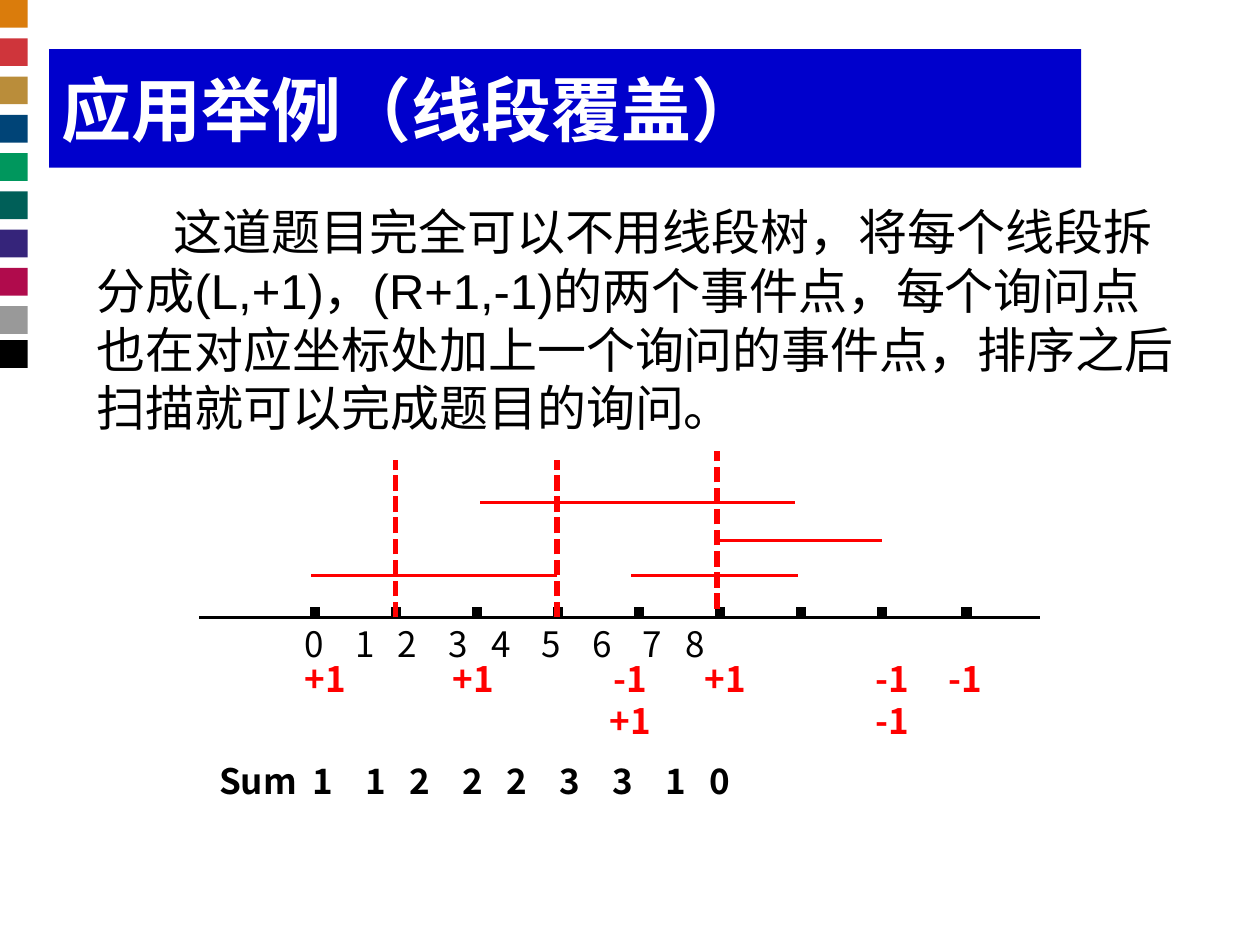
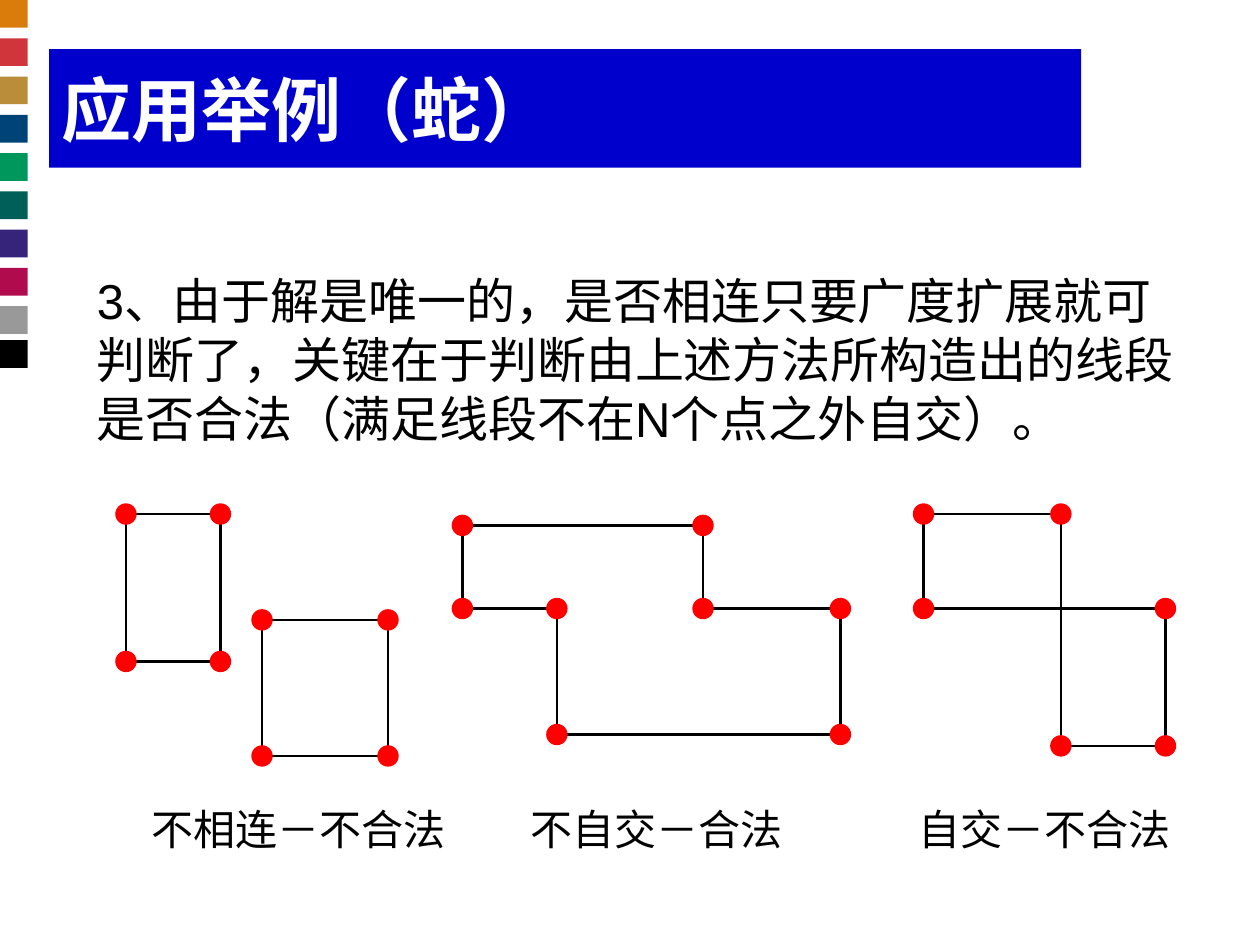
from dataclasses import dataclass
from itertools import accumulate

from lxml.etree import SubElement
from pptx import Presentation
from pptx.dml.color import RGBColor
from pptx.enum.dml import MSO_LINE_DASH_STYLE as Dash
from pptx.enum.shapes import MSO_CONNECTOR as Conn, MSO_SHAPE as Geo
from pptx.enum.text import MSO_ANCHOR as Anchor, PP_ALIGN as Align
from pptx.oxml.ns import qn
from pptx.util import Inches, Pt

BLACK = RGBColor(0x00, 0x00, 0x00)
WHITE = RGBColor(0xFF, 0xFF, 0xFF)
RED = RGBColor(0xFF, 0x00, 0x00)
BLUE = RGBColor(0x00, 0x00, 0xCC)
STRIP_COLOURS = [RGBColor.from_string(c) for c in (
    "DA7C0C", "CF353B", "BA8D3A", "004477", "00975D",
    "005F58", "35247A", "B00B4C", "999999", "000000")]
LATIN = "Arial"
CJK = "Noto Sans CJK SC"
DOT = 0.17


@dataclass(frozen=True)
class Line:
    x1: float
    y1: float
    x2: float
    y2: float
    colour: RGBColor = BLACK
    width: float = 1.5
    dotted: bool = False


@dataclass(frozen=True)
class Mark:
    x: float
    y: float
    text: str


@dataclass(frozen=True)
class Rect:
    x: float
    y: float
    w: float
    h: float

    def corners(self) -> list[tuple[float, float]]:
        right, bottom = self.x + self.w, self.y + self.h
        return [(self.x, self.y), (right, self.y), (right, bottom), (self.x, bottom)]


def write(tf, text: str, *, size: float, font: str = LATIN, colour: RGBColor = BLACK,
          bold: bool = False, align=Align.LEFT, indent: float = 0, tabs=()) -> None:
    p = tf.paragraphs[0]
    p.alignment = align
    pPr = p._p.get_or_add_pPr()
    if indent:
        pPr.set("indent", str(Inches(indent)))
    if tabs:
        stops = SubElement(pPr, qn("a:tabLst"))
        for x in tabs:
            SubElement(stops, qn("a:tab"), pos=str(Inches(x)), algn="l")
    r = p.add_run()
    r.text = text
    r.font.name, r.font.size, r.font.bold = font, Pt(size), bold
    r.font.color.rgb = colour


def add_text(slide, text: str, x: float, y: float, w: float, h: float, **style) -> None:
    tf = slide.shapes.add_textbox(Inches(x), Inches(y), Inches(w), Inches(h)).text_frame
    tf.word_wrap = True
    write(tf, text, **style)


def add_shape(slide, geo, x: float, y: float, w: float, h: float, *, fill=None, line=None):
    sp = slide.shapes.add_shape(geo, Inches(x), Inches(y), Inches(w), Inches(h))
    sp.shadow.inherit = False
    if fill is None:
        sp.fill.background()
    else:
        sp.fill.solid()
        sp.fill.fore_color.rgb = fill
    if line is None:
        sp.line.fill.background()
    else:
        sp.line.color.rgb = line
        sp.line.width = Pt(1.5)
    return sp


def add_line(slide, ln: Line) -> None:
    cx = slide.shapes.add_connector(Conn.STRAIGHT, Inches(ln.x1), Inches(ln.y1),
                                    Inches(ln.x2), Inches(ln.y2))
    cx.line.color.rgb = ln.colour
    cx.line.width = Pt(ln.width)
    if ln.dotted:
        cx.line.dash_style = Dash.SQUARE_DOT
    SubElement(cx._element.spPr, qn("a:effectLst"))


def add_dots(slide, points) -> None:
    for x, y in points:
        add_shape(slide, Geo.OVAL, x - DOT / 2, y - DOT / 2, DOT, DOT, fill=RED)


def add_loop(slide, points) -> None:
    for start, end in zip(points, points[1:] + points[:1]):
        add_line(slide, Line(*start, *end))
    add_dots(slide, points)


def add_slide(prs, title: str):
    slide = prs.slides.add_slide(prs.slide_layouts[5])
    for i, colour in enumerate(STRIP_COLOURS):
        add_shape(slide, Geo.RECTANGLE, 0, min(2.43 * i / 8, 2.7), 0.22, 0.22, fill=colour)
    sp = slide.shapes.title
    sp.left, sp.top, sp.width, sp.height = (Inches(v) for v in (0.39, 0.39, 8.19, 0.94))
    sp.fill.solid()
    sp.fill.fore_color.rgb = BLUE
    tf = sp.text_frame
    tf.margin_left = tf.margin_right = tf.margin_top = tf.margin_bottom = Inches(0.1)
    tf.vertical_anchor = Anchor.MIDDLE
    write(tf, title, size=40, colour=WHITE, bold=True)
    return slide


def tab_stops(first: float, wide: float, narrow: float) -> list[float]:
    gaps = [wide, narrow, wide, narrow, wide, wide, wide, narrow]
    return list(accumulate(gaps, initial=first))


def build_coverage(prs) -> None:
    slide = add_slide(prs, "应用举例（线段覆盖）")
    add_text(slide, "这道题目完全可以不用线段树，将每个线段拆分成(L,+1)，(R+1,-1)的两个事件点，"
             "每个询问点也在对应坐标处加上一个询问的事件点，排序之后扫描就可以完成题目的询问。",
             0.67, 1.55, 8.83, 1.97, size=28, indent=0.61)

    axis_y = 4.9
    ticks = [2.5 + 4.5 * i / 7 for i in range(8)] + [7.67]
    axis = [Line(1.58, axis_y, 8.25, axis_y)]
    axis += [Line(x, 4.82, x, axis_y, width=6) for x in ticks]
    segments = [Line(x1, y, x2, y, RED) for x1, x2, y in (
        (2.47, 4.42, 4.57), (5.01, 6.33, 4.57), (5.68, 7, 4.29), (3.81, 6.31, 3.99))]
    queries = [Line(x, bottom, x, bottom - 1.25, RED, 3, True) for x, bottom in (
        (5.69, 4.83), (4.42, axis_y), (3.14, axis_y))]
    for ln in axis + segments + queries:
        add_line(slide, ln)

    add_text(slide, "\t".join("012345678"), 2.32, 4.89, 6.01, 0.44,
             size=20, font=CJK, tabs=tab_stops(0, 0.4, 0.34)[1:])
    add_text(slide, "\t".join(["Sum", *"112223310"]), 1.64, 5.98, 6.25, 0.44,
             size=20, font=CJK, bold=True, tabs=tab_stops(0.74, 0.42, 0.35))

    upper, lower = 5.17, 5.5
    for mark in (Mark(2.25, upper, "+1"), Mark(3.42, upper, "+1"), Mark(4.67, upper, "-1"),
                 Mark(4.67, lower, "+1"), Mark(5.42, upper, "+1"), Mark(6.75, upper, "-1"),
                 Mark(6.75, lower, "-1"), Mark(7.33, upper, "-1")):
        add_text(slide, mark.text, mark.x, mark.y, 0.67, 0.44,
                 size=20, font=CJK, colour=RED, bold=True, align=Align.CENTER)


def build_snake(prs) -> None:
    slide = add_slide(prs, "应用举例（蛇）")
    add_text(slide, "3、由于解是唯一的，是否相连只要广度扩展就可判断了，关键在于判断由上述方法"
             "所构造出的线段是否合法（满足线段不在N个点之外自交）。",
             0.67, 2.1, 8.83, 1.5, size=28)

    for rect in (Rect(1, 4.08, 0.75, 1.17), Rect(2.08, 4.92, 1, 1.08)):
        add_shape(slide, Geo.RECTANGLE, rect.x, rect.y, rect.w, rect.h, line=BLACK)
        add_dots(slide, rect.corners())
    add_loop(slide, [(3.67, 4.17), (5.58, 4.17), (5.58, 4.83), (6.67, 4.83),
                     (6.67, 5.83), (4.42, 5.83), (4.42, 4.83), (3.67, 4.83)])
    add_loop(slide, [(7.33, 4.08), (8.42, 4.08), (8.42, 5.92),
                     (9.25, 5.92), (9.25, 4.83), (7.33, 4.83)])

    for x, caption in ((1.08, "不相连－不合法"), (3.92, "不自交－合法"), (7, "自交－不合法")):
        add_text(slide, caption, x, 6.33, 2.58, 0.5, size=24, align=Align.CENTER)


def main() -> None:
    prs = Presentation()
    prs.slide_width, prs.slide_height = Inches(10), Inches(7.5)
    build_coverage(prs)
    build_snake(prs)
    prs.save("out.pptx")


if __name__ == "__main__":
    main()
